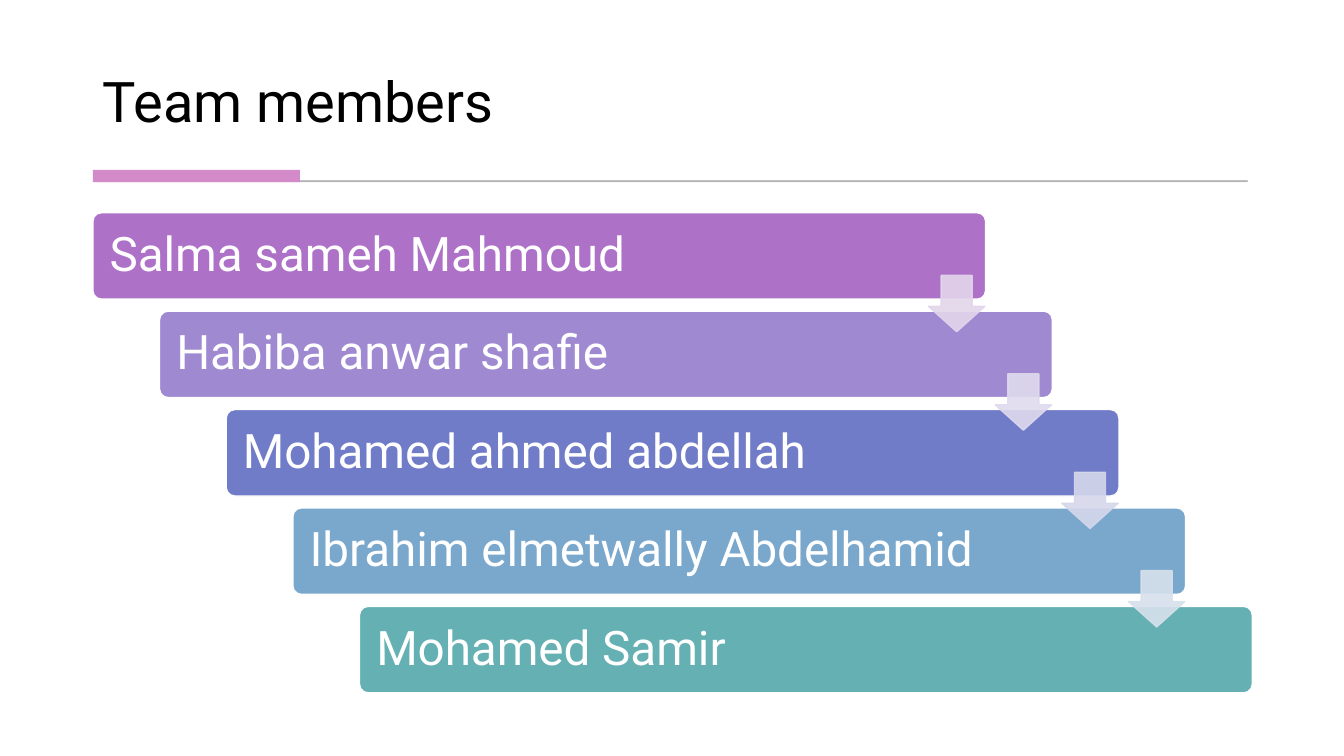
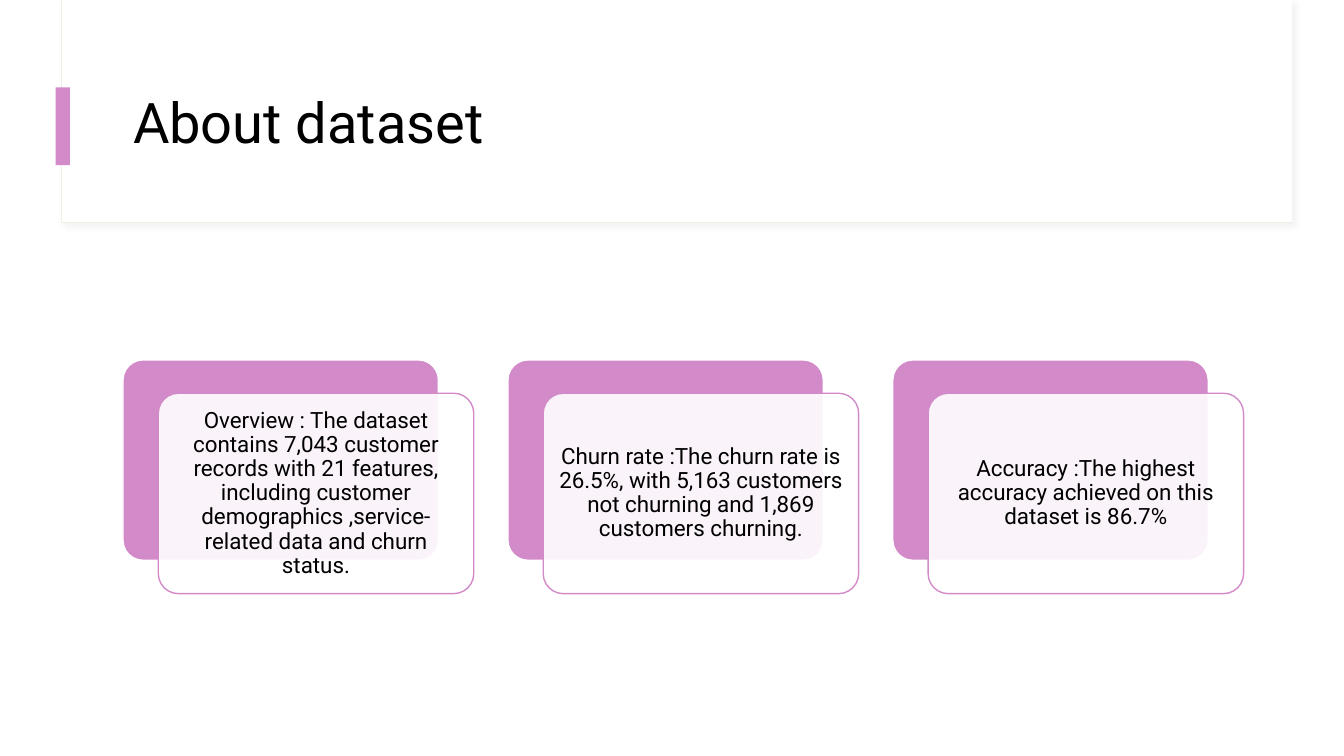
from lxml.etree import SubElement as Sub
from pptx import Presentation
from pptx.dml.color import RGBColor as RGB
from pptx.enum.shapes import MSO_SHAPE as Geo
from pptx.enum.text import MSO_ANCHOR as Anchor, MSO_AUTO_SIZE as Fit, PP_ALIGN as Align
from pptx.oxml.ns import qn
from pptx.util import Cm, Pt

# Colours
WHITE = RGB(0xFF, 0xFF, 0xFF)
BLACK = RGB(0x00, 0x00, 0x00)
PINK = RGB(0xD2, 0x8A, 0xC9)
GREY = RGB(0x59, 0x59, 0x59)
CREAM = RGB(0xF0, 0xEF, 0xE4)
PURPLE = RGB(0xAE, 0x71, 0xC8)
LILAC = RGB(0x9F, 0x8A, 0xD2)
INDIGO = RGB(0x71, 0x7C, 0xC8)
BLUE = RGB(0x7A, 0xA7, 0xCC)
TEAL = RGB(0x65, 0xB0, 0xB3)
TINTS = [RGB(0xE3, 0xD5, 0xEB), RGB(0xDF, 0xDA, 0xEE),
         RGB(0xD5, 0xD7, 0xEB), RGB(0xD7, 0xE1, 0xEC)]

# Wording
TEAM = [
    ("Salma sameh Mahmoud", PURPLE),
    ("Habiba anwar shafie", LILAC),
    ("Mohamed ahmed abdellah", INDIGO),
    ("Ibrahim elmetwally Abdelhamid", BLUE),
    ("Mohamed Samir", TEAL),
]
FACTS = [
    "Overview : The dataset contains 7,043 customer records with 21 features, "
    "including customer demographics ,service-related data and churn status.",
    "Churn rate :The churn rate is 26.5%, with 5,163 customers not churning "
    "and 1,869 customers churning.",
    "Accuracy :The highest accuracy achieved on this dataset is 86.7%",
]


class Deck:
    """Holds the style and the current slide."""
    font = "Roboto"

    def __init__(self):
        self.prs = Presentation()
        self.prs.slide_width = Cm(33.87)
        self.prs.slide_height = Cm(19.05)
        self.slide = None

    def page(self):
        self.slide = self.prs.slides.add_slide(self.prs.slide_layouts[5])

    def label(self, shape, text, size, color, align=Align.LEFT,
              anchor=Anchor.MIDDLE, pad=None):
        frame = shape.text_frame
        frame.word_wrap = True
        frame.auto_size = Fit.NONE
        frame.vertical_anchor = anchor
        if pad is not None:
            frame.margin_left = frame.margin_right = Cm(pad)
            frame.margin_top = frame.margin_bottom = Cm(pad)
        para = frame.paragraphs[0]
        para.alignment = align
        para.line_spacing = 0.9
        run = para.add_run()
        run.text = text
        run.font.name = self.font
        run.font.size = Pt(size)
        run.font.color.rgb = color

    def title(self, text, x, y, w, h, anchor):
        shape = self.slide.shapes.title
        shape.left, shape.top = Cm(x), Cm(y)
        shape.width, shape.height = Cm(w), Cm(h)
        self.label(shape, text, 40, BLACK, anchor=anchor)

    def fade(self, fill, part):
        for node in fill.iter(qn("a:srgbClr")):
            Sub(node, qn("a:alpha"), val=str(part * 1000))

    def box(self, x, y, w, h, fill, line=None, width=1, geo=Geo.RECTANGLE,
            adj=(), alpha=None, faint=False):
        """Draw a shape; alpha fades its fill, and its line too if faint."""
        shape = self.slide.shapes.add_shape(geo, Cm(x), Cm(y), Cm(w), Cm(h))
        shape.shadow.inherit = False
        for i, value in enumerate(adj):
            shape.adjustments[i] = value
        shape.fill.solid()
        shape.fill.fore_color.rgb = fill
        if alpha:
            self.fade(shape._element.spPr.find(qn("a:solidFill")), alpha)
        if line is None:
            shape.line.fill.background()
        else:
            shape.line.color.rgb = line
            shape.line.width = Pt(width)
            if faint:
                self.fade(shape._element.spPr.find(qn("a:ln")), alpha)
        return shape

    def round(self, x, y, w, h, fill, line, alpha=None):
        return self.box(x, y, w, h, fill, line, geo=Geo.ROUNDED_RECTANGLE,
                        adj=(0.1,), alpha=alpha)

    def arrow(self, x, y, color):
        self.box(x, y, 1.42, 1.42, color, color, geo=Geo.DOWN_ARROW,
                 adj=(0.55, 0.45), alpha=90, faint=True)

    def band(self):
        """Draw the framed title band with its soft shadow and accent."""
        frame = self.box(1.55, 0, 31.01, 5.61, WHITE, CREAM, 0.75)
        glow = Sub(frame._element.spPr.find(qn("a:effectLst")),
                   qn("a:outerShdw"), blurRad=str(Pt(4)), dist=str(Pt(3)),
                   dir="2700000", algn="tl", rotWithShape="0")
        Sub(glow, qn("a:srgbClr"), val="D9D9D9")
        self.fade(glow, 30)
        self.box(1.57, 0, 30.99, 5.59, WHITE)
        self.box(1.4, 2.2, 0.36, 1.96, PINK)
        # Keep the title in front of the band
        title = self.slide.shapes.title._element
        title.getparent().append(title)

    def card(self, x, y, text):
        w, h = 7.95, 5.05
        self.round(x, y, w, h, PINK, WHITE)
        front = self.round(x + 0.89, y + 0.84, w, h, WHITE, PINK, alpha=90)
        self.label(front, text, 16, BLACK, Align.CENTER, pad=0.18)


def team(deck):
    deck.page()
    deck.title("Team members", 2.34, 0.71, 29.18, 2.82, Anchor.BOTTOM)
    # Rule with accent
    deck.box(2.41, 4.55, 29.03, 0.03, GREY, GREY, 0.75, alpha=30, faint=True)
    deck.box(2.34, 4.28, 5.22, 0.31, PINK)
    # Stair of names, then the arrows between them
    dx, dy = 1.68, 2.48
    for i, (name, color) in enumerate(TEAM):
        bar = deck.round(2.34 + i * dx, 5.36 + i * dy, 22.5, 2.18, color, WHITE)
        deck.label(bar, name, 34, WHITE, pad=0.36)
    for i, tint in enumerate(TINTS):
        deck.arrow(23.4 + i * dx, 6.94 + i * dy, tint)


def data(deck):
    deck.page()
    deck.band()
    deck.title("About dataset", 3.1, 1.52, 28.24, 3.28, Anchor.MIDDLE)
    # Row of cards
    for i, fact in enumerate(FACTS):
        deck.card(3.1 + i * 9.7, 9.07, fact)


def main():
    deck = Deck()
    team(deck)
    data(deck)
    deck.prs.save("out.pptx")


if __name__ == "__main__":
    main()
